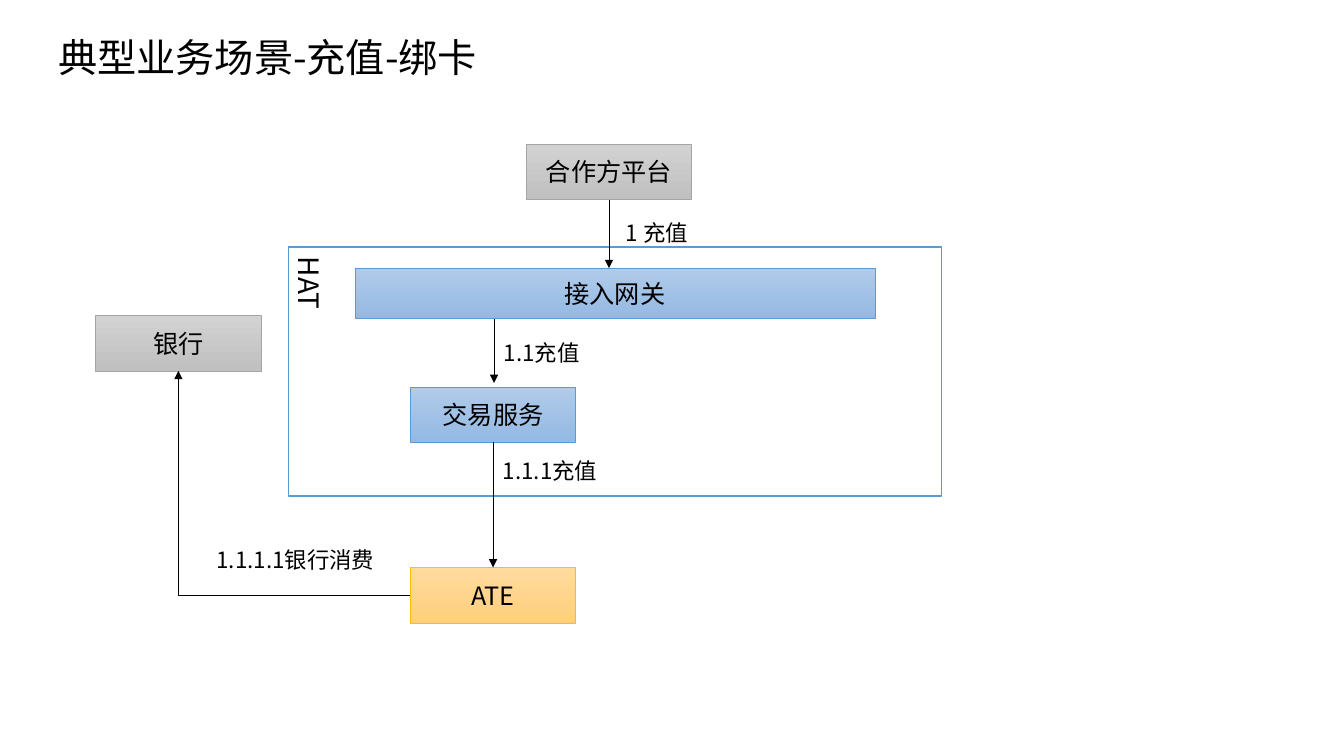
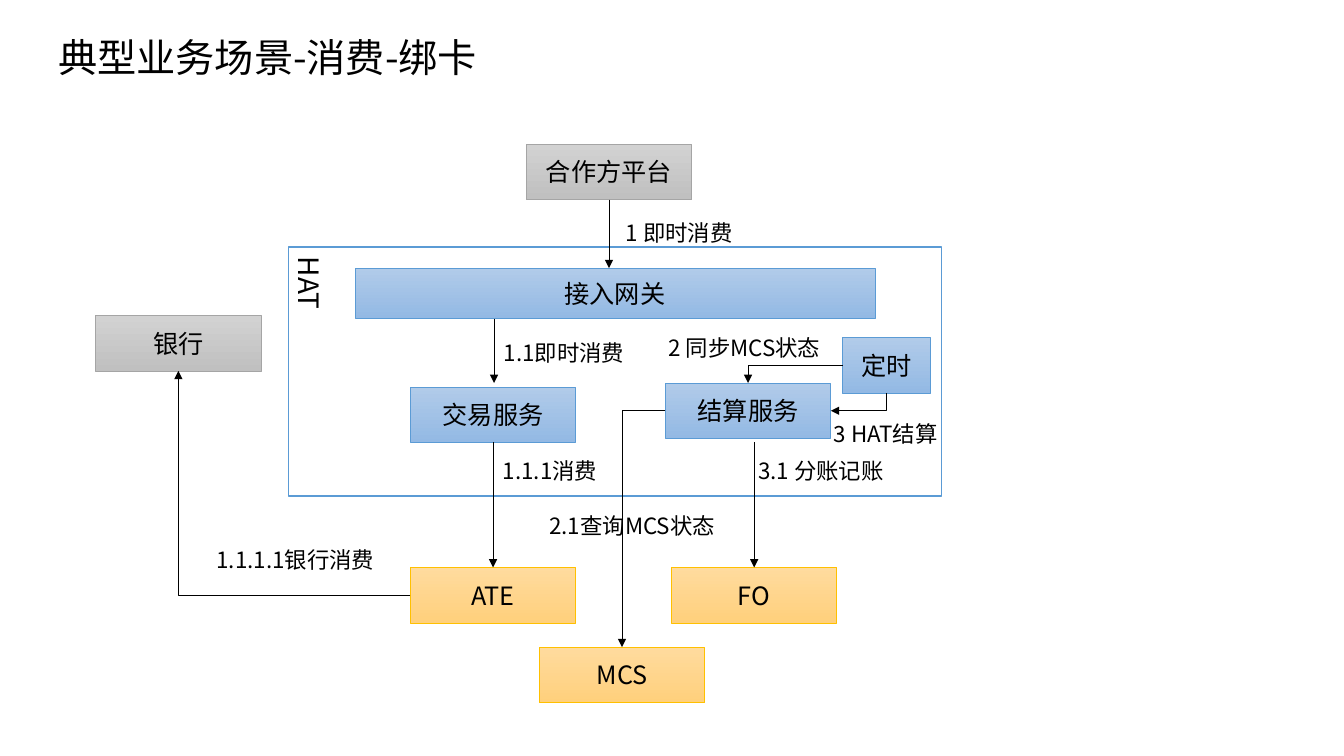
from dataclasses import dataclass
from typing import NamedTuple

from lxml.etree import SubElement
from pptx import Presentation
from pptx.dml.color import RGBColor as Rgb
from pptx.enum.shapes import MSO_CONNECTOR as Route, MSO_SHAPE as Preset
from pptx.enum.text import MSO_ANCHOR as Anchor, MSO_AUTO_SIZE as AutoSize, PP_ALIGN as Align
from pptx.oxml.ns import qn
from pptx.util import Inches, Pt

TOP, LEFT, BOTTOM, RIGHT = range(4)
UNITS_PER_INCH = 10
NODE_COLS, NODE_ROWS = 16.4, 5.5


class Tone(NamedTuple):
    light: str
    dark: str
    edge: str


@dataclass(frozen=True)
class Theme:
    font: str = "Noto Sans CJK SC"
    ink: str = "000000"
    paper: str = "FFFFFF"
    internal: Tone = Tone("B1CBE9", "93B9E4", "5B9BD5")
    partner: Tone = Tone("D2D2D2", "C0C0C0", "A5A5A5")
    backend: Tone = Tone("FFDB9E", "FFD07C", "FFC000")
    title_size: float = 28
    frame_size: float = 20
    node_size: float = 18
    label_size: float = 16
    frame_line: float = 1
    thin_line: float = 0.5


THEME = Theme()


class Area(NamedTuple):
    col: float
    row: float
    cols: float = NODE_COLS
    rows: float = NODE_ROWS


class Node(NamedTuple):
    text: str
    area: Area
    tone: Tone


class Spot(NamedTuple):
    col: float
    row: float


class Port(NamedTuple):
    node: str
    side: int


class Link(NamedTuple):
    start: Spot | Port
    end: Spot | Port
    bent: bool = False
    arrow: str = "tailEnd"


class Label(NamedTuple):
    text: str
    col: float
    row: float
    cols: float


@dataclass(frozen=True)
class Scenario:
    title: str
    nodes: list[Node]
    links: list[Link]
    labels: list[Label]


TITLE = Area(4.8, 2.8, 95.8, 5.7)
FRAME = Area(28.6, 24.5, 64.8, 24.7)
LABEL_ROWS = 3.7
BACKEND_ROW = 56.3

SHARED_NODES = [
    Node("接入网关", Area(35.2, 26.6, 51.6, 5), THEME.internal),
    Node("交易服务", Area(40.7, 38.4), THEME.internal),
    Node("合作方平台", Area(52.2, 14.3), THEME.partner),
    Node("银行", Area(9.5, 31.3), THEME.partner),
    Node("ATE", Area(40.7, BACKEND_ROW), THEME.backend),
]
SHARED_LINKS = [
    Link(Port("合作方平台", BOTTOM), Spot(60.4, 26.6)),
    Link(Spot(49, 31.6), Spot(49, 38)),
    Link(Port("ATE", LEFT), Port("银行", BOTTOM), bent=True),
    Link(Port("交易服务", BOTTOM), Port("ATE", TOP)),
]
SETTLEMENT_NODES = [
    Node("结算服务", Area(66, 38), THEME.internal),
    Node("MCS", Area(53.5, 64.2), THEME.backend),
    Node("FO", Area(66.6, BACKEND_ROW), THEME.backend),
    Node("定时", Area(83.6, 33.5, 8.7), THEME.internal),
]
SETTLEMENT_LINKS = [
    Link(Spot(74.8, 43.9), Port("FO", TOP)),
    Link(Port("定时", LEFT), Port("结算服务", TOP), bent=True),
    Link(Port("结算服务", LEFT), Port("MCS", TOP), bent=True),
    Link(Port("结算服务", RIGHT), Port("定时", BOTTOM), bent=True, arrow="headEnd"),
]
SETTLEMENT_LABELS = [
    Label("3.1 分账记账", 74.2, 44.9, 15.5),
    Label("2 同步MCS状态", 65.3, 32.7, 19),
    Label("2.1查询MCS状态", 53.5, 50.3, 19),
    Label("3 HAT结算", 81.7, 41.2, 19),
]


def payment_labels(request: str, action: str) -> list[Label]:
    return [
        Label(f"1 {request}", 61.1, 21.2, 14.6),
        Label(f"1.1{request}", 49, 33.2, 16.3),
        Label("1.1.1.1银行消费", 20.5, 53.7, 17.7),
        Label(f"1.1.1{action}", 48.9, 44.9, 17.3),
    ]


SCENARIOS = [
    Scenario("典型业务场景-充值-绑卡", SHARED_NODES, SHARED_LINKS, payment_labels("充值", "充值")),
    Scenario(
        "典型业务场景-消费-绑卡",
        SHARED_NODES + SETTLEMENT_NODES,
        SHARED_LINKS + SETTLEMENT_LINKS,
        payment_labels("即时消费", "消费") + SETTLEMENT_LABELS,
    ),
]


def grid(units: float) -> int:
    return Inches(units / UNITS_PER_INCH)


def place(area: Area) -> list[int]:
    return [grid(units) for units in area]


def write(frame, text: str, *, size: float, align=Align.LEFT, anchor=Anchor.TOP) -> None:
    frame.word_wrap = True
    frame.vertical_anchor = anchor
    paragraph = frame.paragraphs[0]
    paragraph.alignment = align
    run = paragraph.add_run()
    run.text = text
    run.font.size = Pt(size)
    run.font.name = THEME.font
    run.font.color.rgb = Rgb.from_string(THEME.ink)
    SubElement(run.font._element, qn("a:ea"), typeface=THEME.font)


def add_caption(slide, text: str, area: Area, size: float) -> None:
    caption = slide.shapes.add_textbox(*place(area))
    write(caption.text_frame, text, size=size)
    caption.text_frame.auto_size = AutoSize.SHAPE_TO_FIT_TEXT


def add_box(slide, area: Area, edge: str, weight: float):
    box = slide.shapes.add_shape(Preset.RECTANGLE, *place(area))
    box.shadow.inherit = False
    box.line.color.rgb = Rgb.from_string(edge)
    box.line.width = Pt(weight)
    return box


def add_frame(slide) -> None:
    platform = add_box(slide, FRAME, THEME.internal.edge, THEME.frame_line)
    platform.fill.solid()
    platform.fill.fore_color.rgb = Rgb.from_string(THEME.paper)
    write(platform.text_frame, "HAT", size=THEME.frame_size, align=Align.CENTER, anchor=Anchor.BOTTOM)
    platform.text_frame._txBody.bodyPr.set("vert", "eaVert")


def add_node(slide, node: Node):
    box = add_box(slide, node.area, node.tone.edge, THEME.thin_line)
    box.fill.gradient()
    box.fill.gradient_angle = 270
    for stop, colour in zip(box.fill.gradient_stops, (node.tone.light, node.tone.dark)):
        stop.color.rgb = Rgb.from_string(colour)
    write(box.text_frame, node.text, size=THEME.node_size, align=Align.CENTER, anchor=Anchor.MIDDLE)
    return box


def locate(end: Spot | Port, boxes: dict) -> tuple[int, int]:
    if isinstance(end, Spot):
        return grid(end.col), grid(end.row)
    box = boxes[end.node]
    across, down = {TOP: (1, 0), LEFT: (0, 1), BOTTOM: (1, 2), RIGHT: (2, 1)}[end.side]
    return box.left + box.width * across // 2, box.top + box.height * down // 2


def add_link(slide, link: Link, boxes: dict) -> None:
    route = Route.ELBOW if link.bent else Route.STRAIGHT
    arrow = slide.shapes.add_connector(route, *locate(link.start, boxes), *locate(link.end, boxes))
    for end, join in ((link.start, arrow.begin_connect), (link.end, arrow.end_connect)):
        if isinstance(end, Port):
            join(boxes[end.node], end.side)
    arrow.line.color.rgb = Rgb.from_string(THEME.ink)
    arrow.line.width = Pt(THEME.thin_line)
    properties = arrow._element.spPr
    if link.bent:
        properties.find(qn("a:prstGeom")).set("prst", "bentConnector2")
    SubElement(properties.find(qn("a:ln")), qn(f"a:{link.arrow}"), type="triangle")
    SubElement(properties, qn("a:effectLst"))


def add_scenario(deck, scenario: Scenario) -> None:
    slide = deck.slides.add_slide(deck.slide_layouts[6])
    add_caption(slide, scenario.title, TITLE, THEME.title_size)
    add_frame(slide)
    boxes = {node.text: add_node(slide, node) for node in scenario.nodes}
    for link in scenario.links:
        add_link(slide, link, boxes)
    for label in scenario.labels:
        area = Area(label.col, label.row, label.cols, LABEL_ROWS)
        add_caption(slide, label.text, area, THEME.label_size)


def main() -> None:
    deck = Presentation()
    deck.slide_width, deck.slide_height = Inches(13.33), Inches(7.5)
    for scenario in SCENARIOS:
        add_scenario(deck, scenario)
    deck.save("out.pptx")


if __name__ == "__main__":
    main()
